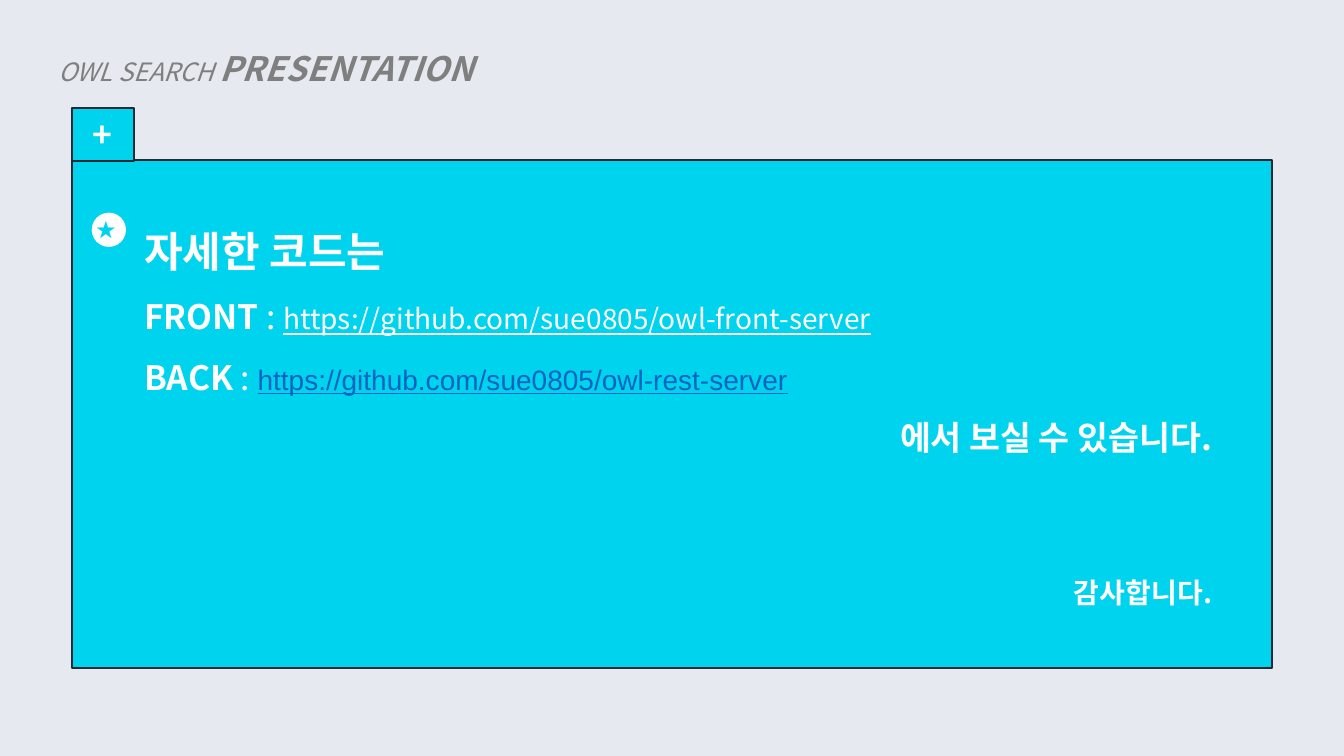
from dataclasses import dataclass

from lxml.etree import SubElement
from pptx import Presentation
from pptx.dml.color import RGBColor
from pptx.enum.shapes import MSO_SHAPE as Shape
from pptx.enum.text import MSO_ANCHOR as Anchor, PP_ALIGN as Align
from pptx.oxml.ns import qn
from pptx.util import Inches, Pt


@dataclass(frozen=True)
class Theme:
    font: str = "Noto Sans CJK KR"
    link_font: str = "Arial"
    background: str = "E6E9F0"
    panel: str = "00D3ED"
    outline: str = "212934"
    white: str = "FFFFFF"
    grey: str = "7F7F7F"
    link: str = "0563C1"
    heading: int = 30
    large: int = 24
    body: int = 20
    small: int = 18
    star: int = 14
    spacing: float = 1.5


T = Theme()

# Each paragraph: font shared by its runs, runs of (text, own font), layout
HEADER = [
    (dict(color=T.grey, italic=True),
     [("OWL SEARCH ", dict(size=T.small)),
      ("PRESENTATION", dict(size=T.large, bold=True))],
     dict(line_spacing=T.spacing)),
]
LABEL = dict(size=T.large, bold=True)
COLON = (" : ", dict(size=T.large))
URL = dict(size=T.body, underline=True)
RIGHT = dict(line_spacing=T.spacing, alignment=Align.RIGHT)
MESSAGE = [
    (dict(size=T.heading, bold=True, color=T.white),
     [("자세한 코드는", {})], dict(line_spacing=T.spacing)),
    (dict(color=T.white),
     [("FRONT", LABEL), COLON,
      ("https://github.com/sue0805/owl-front-server", URL)],
     dict(line_spacing=T.spacing)),
    (dict(color=T.white),
     [("BACK", LABEL), COLON,
      ("https://github.com/sue0805/owl-rest-server",
       dict(URL, name=T.link_font, color=T.link))],
     dict(line_spacing=T.spacing)),
    (dict(size=T.large, bold=True, color=T.white),
     [("에서 보실 수 있습니다.", {})], RIGHT),
    (dict(size=T.body, bold=True, color=T.white),
     [("감사합니다.", {})], dict(RIGHT, space_before=Pt(72))),
]
PLUS = [(dict(size=T.large, bold=True, color=T.white), [("+", {})],
         dict(alignment=Align.CENTER))]
STAR = [(dict(size=T.star, color=T.panel), [("★", {})],
         dict(alignment=Align.CENTER))]

# left, top, width, height in inches
PANEL_BOX = (0.71, 1.59, 11.91, 5.04)
TAB_BOX = (0.71, 1.07, 0.62, 0.53)
MESSAGE_BOX = (1.33, 1.94, 10.79, 4.27)
STAR_BOX = (0.91, 2.11, 0.34, 0.34)
HEADER_BOX = (0.48, 0.23, 4.78, 0.63)


def set_font(font, color=None, **values):
    for key, value in values.items():
        setattr(font, key, Pt(value) if key == "size" else value)
    if color:
        font.color.rgb = RGBColor.from_string(color)


def set_east_asian(props):
    SubElement(props, qn("a:ea")).set("typeface", T.font)


def write(tf, paragraphs):
    tf.word_wrap = True
    for i, (shared, runs, layout) in enumerate(paragraphs):
        p = tf.paragraphs[0] if i == 0 else tf.add_paragraph()
        for key, value in layout.items():
            setattr(p, key, value)
        set_font(p.font, name=T.font, **shared)
        for text, own in runs:
            r = p.add_run()
            r.text = text
            set_font(r.font, **own)
            set_east_asian(r._r.get_or_add_rPr())


def add_box(s, kind, box, fill, line=None, paragraphs=()):
    sp = s.shapes.add_shape(kind, *map(Inches, box))
    sp.shadow.inherit = False
    sp.fill.solid()
    sp.fill.fore_color.rgb = RGBColor.from_string(fill)
    if line:
        sp.line.color.rgb = RGBColor.from_string(line)
        sp.line.width = Pt(1.5)
    else:
        sp.line.fill.background()
    sp.text_frame.vertical_anchor = Anchor.MIDDLE
    write(sp.text_frame, paragraphs)
    return sp


def add_text(s, box, paragraphs):
    write(s.shapes.add_textbox(*map(Inches, box)).text_frame, paragraphs)


def main():
    prs = Presentation()
    prs.slide_width, prs.slide_height = Inches(13.33), Inches(7.5)
    s = prs.slides.add_slide(prs.slide_layouts[6])
    s.background.fill.solid()
    s.background.fill.fore_color.rgb = RGBColor.from_string(T.background)

    add_box(s, Shape.RECTANGLE, PANEL_BOX, T.panel, T.outline)
    add_box(s, Shape.RECTANGLE, TAB_BOX, T.panel, T.outline, PLUS)
    add_text(s, MESSAGE_BOX, MESSAGE)
    badge = add_box(s, Shape.OVAL, STAR_BOX, T.white, paragraphs=STAR)
    badge.text_frame.margin_left = 0
    add_text(s, HEADER_BOX, HEADER)
    prs.save("out.pptx")


if __name__ == "__main__":
    main()
